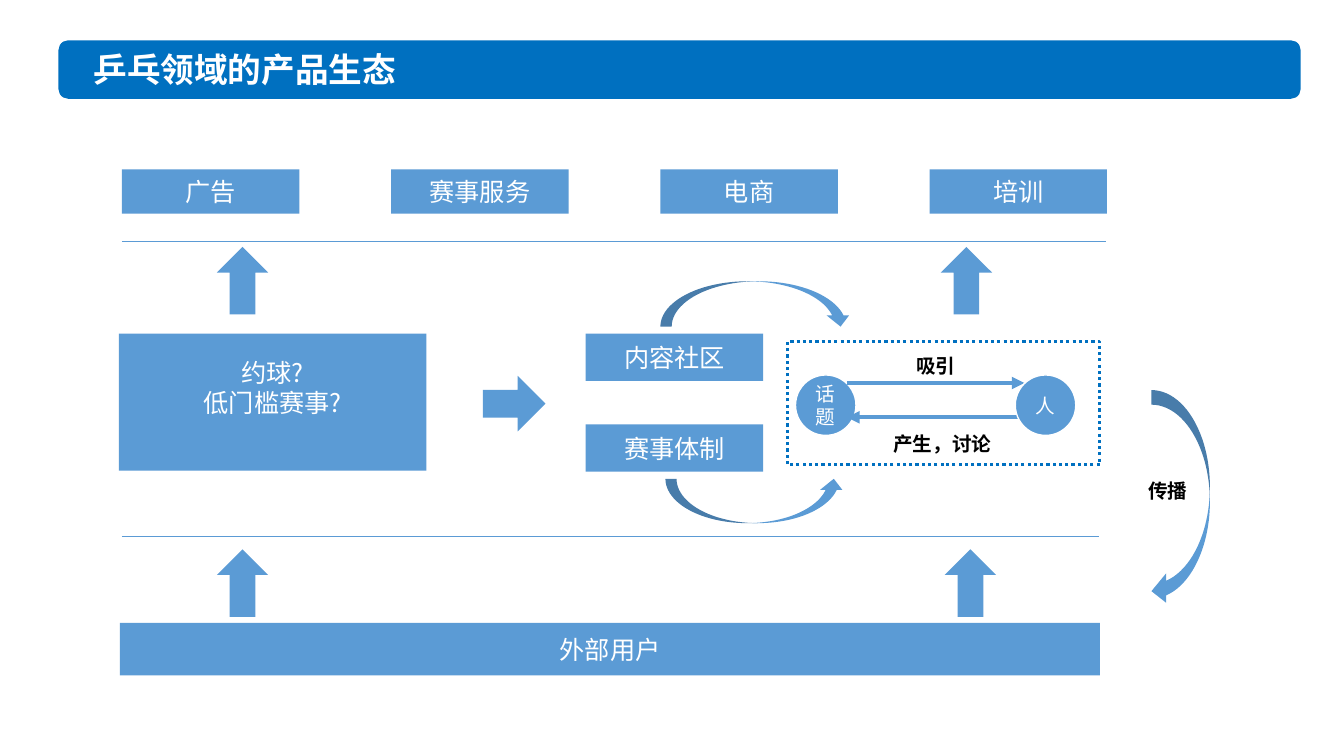
"""Build the table tennis product ecosystem slide."""
from lxml.etree import SubElement
from pptx import Presentation
from pptx.dml.color import RGBColor
from pptx.enum.dml import MSO_LINE
from pptx.enum.shapes import MSO_CONNECTOR, MSO_SHAPE
from pptx.enum.text import MSO_ANCHOR, MSO_AUTO_SIZE, PP_ALIGN
from pptx.oxml.ns import qn
from pptx.util import Inches, Pt

THEME = {
    "font": "Noto Sans CJK SC",
    "blue": "5B9BD5", "accent": "0070C0", "white": "FFFFFF", "black": "000000",
    "title": 24, "box": 18, "label": 14,
    "rule": 0.5, "outline": 1, "dots": 2.25, "arrow": 3,
}

TITLE = "乒乓领域的产品生态"
SERVICES = ["广告", "赛事服务", "电商", "培训"]
ENTRY = "约球?\n低门槛赛事?"
PLATFORMS = ["内容社区", "赛事体制"]
TOPIC, PERSON = "话题", "人"
USERS = "外部用户"
LABELS = [
    ("吸引", 8.99, 3.39, 0.59, 0.38, 1.3),
    ("产生，讨论", 8.76, 4.17, 1.18, 0.38, 1.3),
    ("传播", 11.29, 4.7, 0.59, 0.34, 1),
]
UP_ARROWS = [(2.15, 2.45), (9.33, 2.45), (2.15, 5.45), (9.37, 5.45)]
FLOW_ARROWS = [
    (MSO_SHAPE.RIGHT_ARROW, 4.79, 3.73, 0.62, 0.55),
    (MSO_SHAPE.CURVED_DOWN_ARROW, 6.55, 2.79, 1.9, 0.45),
    (MSO_SHAPE.CURVED_UP_ARROW, 6.6, 4.75, 1.78, 0.44),
    (MSO_SHAPE.CURVED_LEFT_ARROW, 11.42, 3.87, 0.58, 2.14),
]
LEFT, BOX_W, SERVICE_PITCH, PLATFORM_PITCH = 1.21, 1.76, 2.67, 0.9
CIRCLE = 0.6

prs = Presentation()
prs.slide_width, prs.slide_height = Inches(13.33), Inches(7.5)
s = prs.slides.add_slide(prs.slide_layouts[6])


def color(name):
    return RGBColor.from_string(THEME[name])


def write(sp, text, size, ink, bold=False, align=PP_ALIGN.CENTER, spacing=None):
    tf = sp.text_frame
    tf.text = text
    for p in tf.paragraphs:
        p.alignment = align
        p.line_spacing = spacing
        for r in p.runs:
            r.font.name = THEME["font"]
            r.font.size = Pt(THEME[size])
            r.font.bold = bold
            r.font.color.rgb = color(ink)
            SubElement(r.font._element, qn("a:ea"), typeface=THEME["font"])
    return tf


def shape(kind, x, y, w, h, fill="blue", text="", size="box", line=None, width="outline"):
    sp = s.shapes.add_shape(kind, Inches(x), Inches(y), Inches(w), Inches(h))
    sp.shadow.inherit = False
    if fill:
        sp.fill.solid()
        sp.fill.fore_color.rgb = color(fill)
    else:
        sp.fill.background()
    if line:
        sp.line.color.rgb = color(line)
        sp.line.width = Pt(THEME[width])
    else:
        sp.line.fill.background()
    if text:
        write(sp, text, size, "white").vertical_anchor = MSO_ANCHOR.MIDDLE
    return sp


def box(x, y, w, h, text):
    return shape(MSO_SHAPE.RECTANGLE, x, y, w, h, text=text)


def circle(x, text):
    shape(MSO_SHAPE.OVAL, x, 3.72, CIRCLE, CIRCLE, text=text, size="label", line="white")


def line(x1, x2, y, width="rule", end=None):
    cn = s.shapes.add_connector(MSO_CONNECTOR.STRAIGHT, *map(Inches, (x1, y, x2, y)))
    cn.line.color.rgb = color("blue")
    cn.line.width = Pt(THEME[width])
    if end:
        SubElement(cn.line._get_or_add_ln(), qn(end), type="triangle")
    SubElement(cn._element.spPr, qn("a:effectLst"))


def textbox(x, y, w, h):
    return s.shapes.add_textbox(Inches(x), Inches(y), Inches(w), Inches(h))


shape(MSO_SHAPE.ROUNDED_RECTANGLE, 0.58, 0.4, 12.32, 0.58, "accent")
title = textbox(0.83, 0.48, 5.3, 0.5)
write(title, TITLE, "title", "white", True, PP_ALIGN.LEFT, 0.9).word_wrap = True

for i, name in enumerate(SERVICES):
    box(LEFT + i * SERVICE_PITCH, 1.68, BOX_W, 0.44, name)
line(LEFT, 10.97, 2.39)
line(LEFT, 10.9, 5.32)

entry = box(1.18, 3.31, 3.05, 1.36, ENTRY)
entry.text_frame.margin_bottom = Inches(0.34)
for i, name in enumerate(PLATFORMS):
    box(5.81, 3.31 + i * PLATFORM_PITCH, BOX_W, 0.47, name)
box(1.19, 6.18, 9.72, 0.52, USERS)

frame = shape(MSO_SHAPE.RECTANGLE, 7.81, 3.39, 3.1, 1.22, None, line="accent", width="dots")
frame.line.dash_style = MSO_LINE.ROUND_DOT
circle(7.89, TOPIC)
line(8.4, 10.16, 3.8, "arrow", "a:tailEnd")
line(8.4, 10.12, 4.14, "arrow", "a:headEnd")
circle(10.07, PERSON)

for x, y in UP_ARROWS:
    shape(MSO_SHAPE.UP_ARROW, x, y, 0.51, 0.67)
for kind, *place in FLOW_ARROWS:
    shape(kind, *place)
for text, x, y, w, h, spacing in LABELS:
    tf = write(textbox(x, y, w, h), text, "label", "black", True, PP_ALIGN.LEFT, spacing)
    tf.word_wrap = False
    tf.auto_size = MSO_AUTO_SIZE.SHAPE_TO_FIT_TEXT

prs.save("out.pptx")
